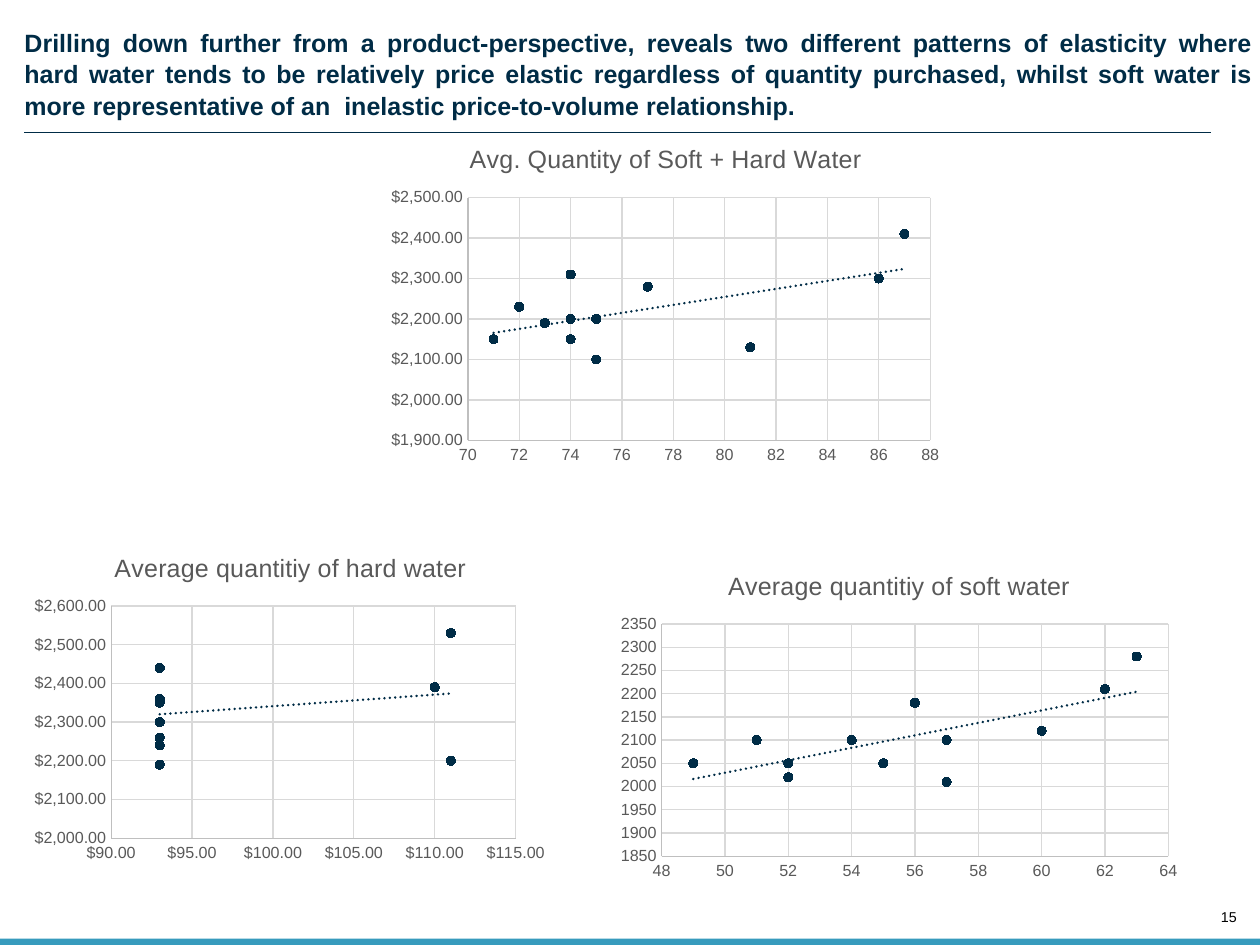
"""Build the slide on price elasticity of hard and soft water."""
from lxml.etree import SubElement
from pptx import Presentation
from pptx.chart.data import XyChartData
from pptx.dml.color import RGBColor
from pptx.enum.chart import XL_CHART_TYPE, XL_MARKER_STYLE, XL_TICK_MARK
from pptx.enum.shapes import MSO_CONNECTOR, MSO_SHAPE
from pptx.enum.text import MSO_ANCHOR, MSO_AUTO_SIZE, PP_ALIGN
from pptx.oxml import parse_xml
from pptx.oxml.ns import nsdecls, qn
from pptx.util import Inches, Pt

FONT = "Arial"
NAVY, TEAL, BLACK = "002C46", "379BBD", "000000"
LABEL_GREY, AXIS_GREY, GRID_GREY = "595959", "BFBFBF", "D9D9D9"
DOLLARS = "$#,##0.00"

TITLE = (
    "Drilling down further from a product-perspective, reveals two different patterns "
    "of elasticity where\vhard water tends to be relatively price elastic regardless of "
    "quantity purchased, whilst soft water is more representative of an  inelastic "
    "price-to-volume relationship."
)
PAGE_NUMBER = "15"

CHARTS = [
    {
        "title": "Avg. Quantity of Soft + Hard Water",
        "box": (2.96, 0.97, 4.44, 2.7),
        "plot": (0.153, 0.21, 0.81, 0.7),
        "x_axis": (70, 88, 2, "General"),
        "y_axis": (1900, 2500, 100, DOLLARS),
        "x": [86, 87, 81, 73, 71, 72, 77, 75, 74, 75, 74, 74],
        "y": [2300, 2410, 2130, 2190, 2150, 2230, 2280, 2200, 2150, 2100, 2200, 2310],
    },
    {
        "title": "Average quantitiy of hard water",
        "box": (0.19, 4.15, 4.14, 2.62),
        "plot": (0.163, 0.215, 0.76, 0.69),
        "x_axis": (90, 115, 5, DOLLARS),
        "y_axis": (2000, 2600, 100, DOLLARS),
        "x": [110, 111, 111, 93, 93, 93, 93, 93, 93, 93, 93, 93],
        "y": [2390, 2530, 2200, 2350, 2240, 2360, 2440, 2300, 2260, 2190, 2300, 2440],
    },
    {
        "title": "Average quantitiy of soft water",
        "box": (4.74, 4.29, 4.51, 2.62),
        "plot": (0.09, 0.215, 0.874, 0.69),
        "x_axis": (48, 64, 2, "General"),
        "y_axis": (1850, 2350, 50, "General"),
        "x": [62, 63, 52, 52, 49, 51, 60, 57, 55, 57, 54, 56],
        "y": [2210, 2280, 2050, 2020, 2050, 2100, 2120, 2100, 2050, 2010, 2100, 2180],
    },
]


def color(value):
    return RGBColor.from_string(value)


def format_font(font, size, fill, bold=False):
    font.name, font.size, font.bold = FONT, Pt(size), bold
    font.color.rgb = color(fill)


def format_line(line, fill, width=0.75):
    line.color.rgb = color(fill)
    line.width = Pt(width)


def write_text(shape, text, *, size, fill, align, anchor, bold=False, wrap=True, spacing=1.0):
    frame = shape.text_frame
    frame.margin_left = frame.margin_top = frame.margin_right = frame.margin_bottom = 0
    frame.auto_size = MSO_AUTO_SIZE.NONE
    frame.word_wrap = wrap
    frame.vertical_anchor = anchor
    frame.text = text
    paragraph = frame.paragraphs[0]
    paragraph.alignment = align
    paragraph.line_spacing = spacing
    for run in paragraph.runs:
        format_font(run.font, size, fill, bold)


def format_axis(axis, minimum, maximum, step, number_format):
    axis.minimum_scale, axis.maximum_scale, axis.major_unit = minimum, maximum, step
    axis.has_title = False
    axis.major_tick_mark = axis.minor_tick_mark = XL_TICK_MARK.NONE
    axis.has_major_gridlines = True
    format_line(axis.major_gridlines.format.line, GRID_GREY)
    format_line(axis.format.line, AXIS_GREY)
    labels = axis.tick_labels
    labels.number_format, labels.number_format_is_linked = number_format, False
    format_font(labels.font, 9, LABEL_GREY)


def place_plot(chart, fractions):
    plot_area = chart.plots[0]._element.getparent()
    layout = plot_area.find(qn("c:layout"))
    if layout is None:
        layout = parse_xml(f"<c:layout {nsdecls('c')}/>")
        plot_area.insert(0, layout)
    manual = SubElement(layout, qn("c:manualLayout"))
    settings = [("layoutTarget", "inner"), ("xMode", "edge"), ("yMode", "edge")]
    settings += zip("xywh", fractions)
    for tag, value in settings:
        SubElement(manual, qn(f"c:{tag}")).set("val", str(value))


def add_trendline(series):
    trendline = parse_xml(
        f"<c:trendline {nsdecls('c', 'a')}><c:spPr><a:ln w=\"{Pt(1.5)}\" cap=\"rnd\">"
        f"<a:solidFill><a:srgbClr val=\"{NAVY}\"/></a:solidFill>"
        '<a:prstDash val="sysDot"/></a:ln></c:spPr><c:trendlineType val="linear"/>'
        '<c:dispRSqr val="0"/><c:dispEq val="0"/></c:trendline>'
    )
    series._element.find(qn("c:xVal")).addprevious(trendline)


def add_scatter(slide, content):
    data = XyChartData()
    points = data.add_series(content["title"])
    for x, y in zip(content["x"], content["y"]):
        points.add_data_point(x, y)
    box = [Inches(length) for length in content["box"]]
    chart = slide.shapes.add_chart(XL_CHART_TYPE.XY_SCATTER, *box, data).chart
    format_font(chart.font, 10, BLACK)
    chart.has_legend = False
    chart.has_title = True
    title = chart.chart_title.text_frame
    title.text = content["title"]
    format_font(title.paragraphs[0].runs[0].font, 14, LABEL_GREY)
    format_axis(chart.category_axis, *content["x_axis"])
    format_axis(chart.value_axis, *content["y_axis"])
    place_plot(chart, content["plot"])

    chart.plots[0].vary_by_categories = False
    series = chart.plots[0].series[0]
    series.smooth = False
    series.format.line.fill.background()
    marker = series.marker
    marker.style, marker.size = XL_MARKER_STYLE.CIRCLE, 5
    marker.format.fill.solid()
    marker.format.fill.fore_color.rgb = color(NAVY)
    format_line(marker.format.line, NAVY)
    add_trendline(series)


def main():
    presentation = Presentation()
    presentation.slide_width, presentation.slide_height = Inches(9.8), Inches(7.35)
    slide = presentation.slides.add_slide(presentation.slide_layouts[5])
    shapes = slide.shapes

    title = shapes.title
    title.left, title.top = Inches(0.19), Inches(0.2)
    title.width, title.height = Inches(9.56), Inches(0.71)
    write_text(title, TITLE, size=14, fill=NAVY, bold=True, spacing=1.05,
               align=PP_ALIGN.JUSTIFY, anchor=MSO_ANCHOR.TOP)

    rule = shapes.add_connector(MSO_CONNECTOR.STRAIGHT, Inches(0.19), Inches(1.03),
                                Inches(9.42), Inches(1.03))
    format_line(rule.line, NAVY)
    SubElement(rule._element.spPr, qn("a:effectLst"))

    for content in CHARTS:
        add_scatter(slide, content)

    footer = shapes.add_shape(MSO_SHAPE.RECTANGLE, 0, Inches(7.3), Inches(9.8), Inches(0.05))
    footer.shadow.inherit = False
    footer.fill.solid()
    footer.fill.fore_color.rgb = color(TEAL)
    footer.line.fill.background()

    number = shapes.add_textbox(Inches(9.48), Inches(7.07), Inches(0.14), Inches(0.13))
    write_text(number, PAGE_NUMBER, size=8, fill=BLACK, wrap=False,
               align=PP_ALIGN.RIGHT, anchor=MSO_ANCHOR.BOTTOM)

    presentation.save("out.pptx")


if __name__ == "__main__":
    main()
